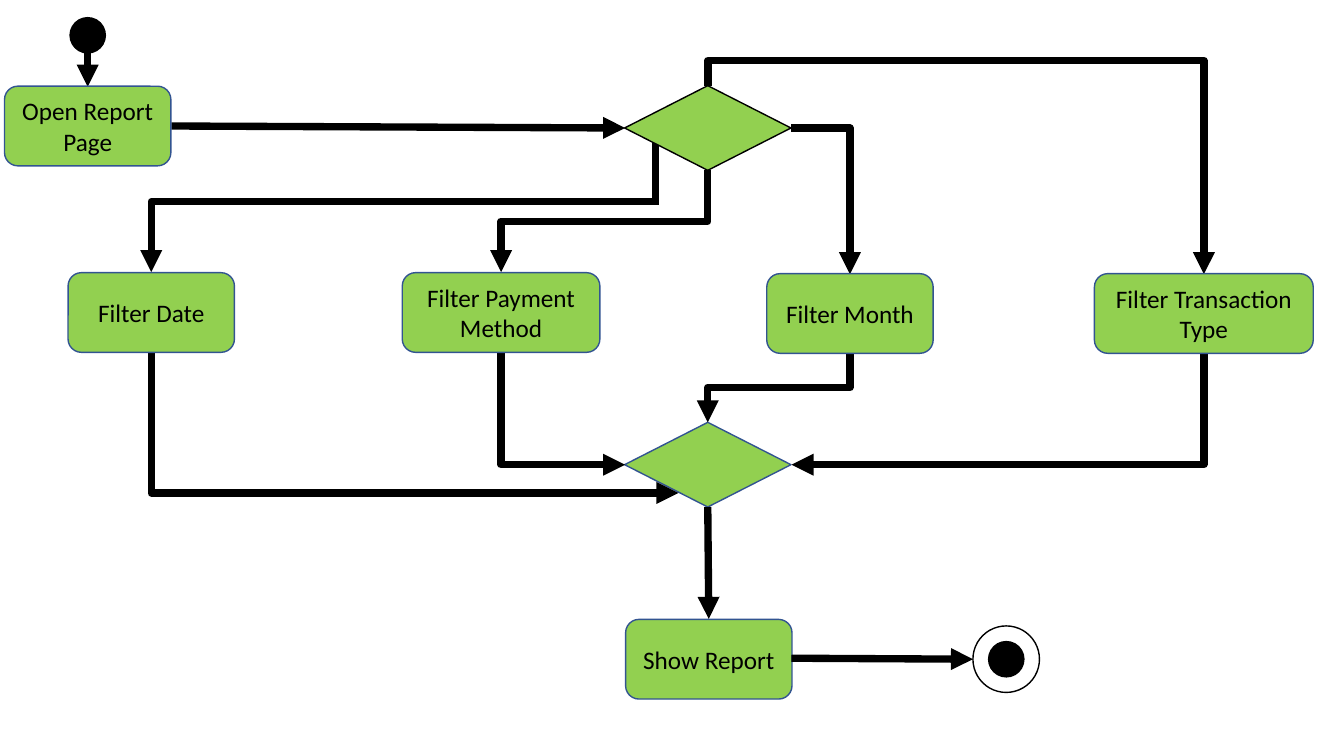
"""Draw the activity diagram for filtering a report."""
from lxml.etree import SubElement
from pptx import Presentation
from pptx.dml.color import RGBColor
from pptx.enum.shapes import MSO_CONNECTOR, MSO_SHAPE
from pptx.enum.text import MSO_ANCHOR, PP_ALIGN
from pptx.oxml.ns import qn
from pptx.util import Inches, Pt

BLACK = RGBColor(0x00, 0x00, 0x00)
GREEN = RGBColor(0x92, 0xD0, 0x50)
BLUE = RGBColor(0x32, 0x54, 0x91)


class Chart:
    font = "Calibri"
    size = Pt(18)
    thick = Pt(5.25)
    thin = Pt(1)
    high = 0.79

    def __init__(self, slide):
        self.slide = slide

    def shape(self, kind, mid, wide, high, fill, edge):
        x, y = mid
        item = self.slide.shapes.add_shape(
            kind, Inches(x - wide / 2), Inches(y - high / 2), Inches(wide), Inches(high))
        item.shadow.inherit = False
        if fill is None:
            item.fill.background()
        else:
            item.fill.solid()
            item.fill.fore_color.rgb = fill
        item.line.color.rgb = edge
        item.line.width = self.thin
        return item

    def dot(self, mid, size=0.35, fill=BLACK):
        self.shape(MSO_SHAPE.OVAL, mid, size, size, fill, BLACK)

    def choice(self, mid, edge):
        self.shape(MSO_SHAPE.DIAMOND, mid, 1.65, 0.84, GREEN, edge)

    def step(self, text, mid, wide=1.65):
        item = self.shape(MSO_SHAPE.ROUNDED_RECTANGLE, mid, wide, self.high, GREEN, BLUE)
        frame = item.text_frame
        frame.word_wrap = True
        frame.vertical_anchor = MSO_ANCHOR.MIDDLE
        frame.text = text
        para = frame.paragraphs[0]
        para.alignment = PP_ALIGN.CENTER
        for run in para.runs:
            run.font.name = self.font
            run.font.size = self.size
            run.font.color.rgb = BLACK

    def line(self, start, end, head=True, kind=MSO_CONNECTOR.STRAIGHT):
        points = [Inches(n) for n in (*start, *end)]
        link = self.slide.shapes.add_connector(kind, *points)
        link.line.color.rgb = BLACK
        link.line.width = self.thick
        props = link._element.spPr
        if head:
            SubElement(props.find(qn("a:ln")), qn("a:tailEnd"), type="triangle")
        SubElement(props, qn("a:effectLst"))
        return props

    def bend(self, start, end, down=True, turn=None):
        (x1, y1), (x2, y2) = start, end
        wide, high = abs(x2 - x1), abs(y2 - y1)
        if down:
            wide, high = high, wide
        left, top = (x1 + x2 - wide) / 2, (y1 + y2 - high) / 2
        props = self.line((left, top), (left + wide, top + high), kind=MSO_CONNECTOR.ELBOW)
        frame = props.find(qn("a:xfrm"))
        if down:
            angle, flip = (270, "flipH") if x2 > x1 else (90, None)
        else:
            angle, flip = (0, None) if x2 > x1 else (180, "flipV")
        frame.set("rot", str(angle * 60000))
        if flip:
            frame.set(flip, "1")
        form = props.find(qn("a:prstGeom"))
        if turn is None:
            form.set("prst", "bentConnector2")
        else:
            guides = form.find(qn("a:avLst"))
            SubElement(guides, qn("a:gd"), name="adj1", fmla=f"val {round(turn * 100000)}")


deck = Presentation()
deck.slide_width, deck.slide_height = Inches(13.33), Inches(7.5)
chart = Chart(deck.slides.add_slide(deck.slide_layouts[6]))

hub, open_x, branch = 7.02, 0.87, 6.5
date, method, month, kind = 1.5, 4.97, 8.43, 11.94
split, merge, show = 1.27, 4.61, 6.54
west, east = 6.2, 7.85
above, below = 2.7, 3.49
final = (9.98, show)

chart.line((branch, 1.38), (branch, 2.03), head=False)
chart.dot((open_x, 0.35))
chart.choice((hub, split), BLACK)
chart.choice((hub, merge), BLUE)

chart.bend((date, below), (6.73, 4.89))
chart.bend((hub, 0.85), (kind, 2.72), turn=-0.134)
chart.bend((branch, 2), (date, above), down=False)
chart.bend((east, split), (month, 2.72), down=False)

chart.dot(final)
chart.dot(final, 0.66, None)

chart.line((open_x, 0.52), (open_x, 0.86))
chart.line((1.7, 1.25), (west, split))
chart.bend((hub, 1.69), (method, above), turn=0.5)
chart.bend((method, below), (west, merge))
chart.bend((month, 3.5), (hub, 4.19), turn=0.5)
chart.bend((kind, 3.5), (east, merge))

chart.step("Open Report Page", (open_x, 1.25))
for text, x, y, wide in (
    ("Filter Date", date, 3.1, 1.65),
    ("Filter Payment Method", method, 3.1, 1.96),
    ("Filter Month", month, 3.11, 1.65),
    ("Filter Transaction Type", kind, 3.11, 2.17),
):
    chart.step(text, (x, y), wide)
chart.step("Show Report", (7.03, show))

chart.line((east, 6.53), (9.65, show))
chart.line((hub, 5.03), (7.03, 6.14))

deck.save("out.pptx")
